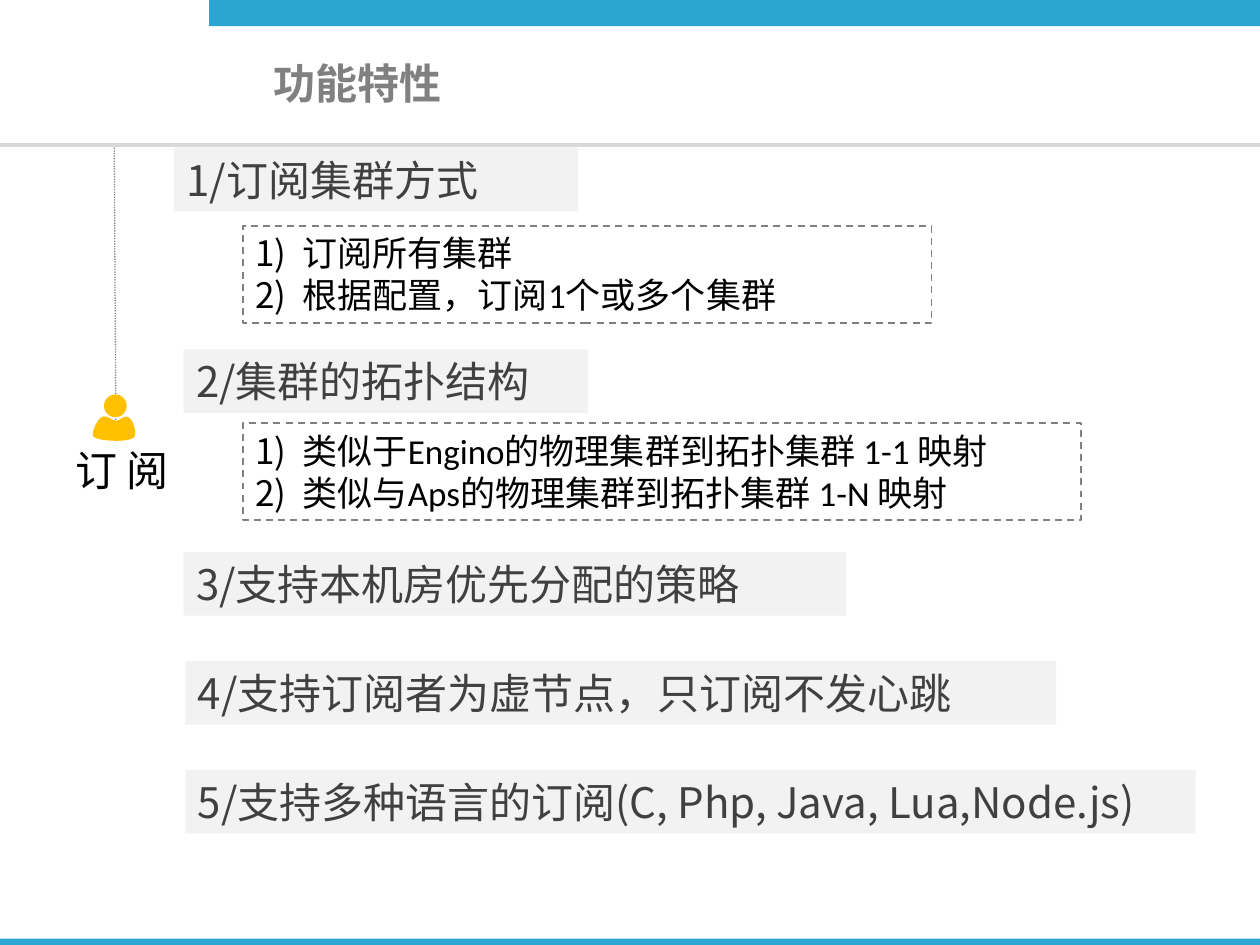
from dataclasses import dataclass

import pptx
import pptx.dml.color
import pptx.enum.dml
import pptx.enum.shapes
import pptx.enum.text
import pptx.oxml
import pptx.oxml.ns
import pptx.util

Pt = pptx.util.Pt
qn = pptx.oxml.ns.qn
Shape = pptx.enum.shapes.MSO_SHAPE
Dash = pptx.enum.dml.MSO_LINE
Anchor = pptx.enum.text.MSO_ANCHOR
Align = pptx.enum.text.PP_ALIGN

COLORS = {
    "accent": "2BA6D2",
    "rule": "D9D9D9",
    "gray": "808080",
    "band": "F2F2F2",
    "heading": "404040",
    "body": "000000",
    "person": "FFC000",
}
CJK_FONT = "Noto Sans CJK SC"
LATIN_FONT = "Calibri"
LIST_INDENT = 27


@dataclass
class Feature:
    text: str
    left: float
    top: float
    width: float


@dataclass
class Details:
    items: list[str]
    top: float
    width: float


FEATURES = [
    Feature("1/订阅集群方式", 99.4, 84.4, 231),
    Feature("2/集群的拓扑结构", 105, 199.6, 231),
    Feature("3/支持本机房优先分配的策略", 105, 315.5, 378.5),
    Feature("4/支持订阅者为虚节点，只订阅不发心跳", 106, 377.8, 497.5),
    Feature("5/支持多种语言的订阅(C, Php, Java, Lua,Node.js)", 106, 440, 577.3),
]
DETAILS = [
    Details(["订阅所有集群", "根据配置，订阅1个或多个集群"], 129, 393.5),
    Details(
        ["类似于Engino的物理集群到拓扑集群 1-1 映射",
         "类似与Aps的物理集群到拓扑集群 1-N 映射"],
        241.6, 478.8,
    ),
]

# Shoulders of the subscriber: a start point, then Bezier segments
SHOULDERS_START = (58.3, 238.3)
SHOULDERS = [
    ((56, 239), (52, 247), (53.3, 249.3)),
    ((54.6, 251.3), (62.5, 251.9), (66.7, 251.9)),
    ((70.9, 251.9), (76.2, 251.3), (77, 249.2)),
    ((77.9, 247), (76.2, 238.6), (72.3, 238.1)),
    ((70, 238.1), (68.6, 240.4), (66.2, 240.4)),
    ((64, 240.4), (61, 237), SHOULDERS_START),
]


def rgb(name: str) -> pptx.dml.color.RGBColor:
    return pptx.dml.color.RGBColor.from_string(COLORS[name])


def paint(shape, fill: str | None = None) -> None:
    """Give the shape a flat fill or none, with no outline or shadow."""
    shape.shadow.inherit = False
    shape.line.fill.background()
    if fill:
        shape.fill.solid()
        shape.fill.fore_color.rgb = rgb(fill)
    else:
        shape.fill.background()


def add_block(slide, kind, left: float, top: float, width: float, height: float,
              fill: str | None = None):
    block = slide.shapes.add_shape(kind, Pt(left), Pt(top), Pt(width), Pt(height))
    paint(block, fill)
    return block


def add_line(slide, start: tuple, end: tuple, color: str, width: float, dash=None) -> None:
    line = slide.shapes.add_connector(
        pptx.enum.shapes.MSO_CONNECTOR.STRAIGHT, *map(Pt, start + end))
    line.line.color.rgb = rgb(color)
    line.line.width = Pt(width)
    if dash:
        line.line.dash_style = dash
    properties = line._element.spPr
    properties.append(properties.makeelement(qn("a:effectLst"), {}))


def number_paragraph(paragraph) -> None:
    """Number the paragraph as 1), 2) with a hanging indent."""
    properties = paragraph._p.get_or_add_pPr()
    properties.set("marL", str(Pt(LIST_INDENT)))
    properties.set("indent", str(-Pt(LIST_INDENT)))
    for tag, attributes in (("a:buFont", {"typeface": "+mj-lt"}),
                            ("a:buAutoNum", {"type": "arabicParenR"})):
        properties.append(properties.makeelement(qn(tag), attributes))


def write(shape, lines: list[str], *, size: float = 24, color: str = "body",
          font: str = CJK_FONT, bold: bool = False, align=Align.LEFT,
          anchor=Anchor.TOP, numbered: bool = False) -> None:
    frame = shape.text_frame
    frame.word_wrap = True
    frame.vertical_anchor = anchor
    for index, line in enumerate(lines):
        paragraph = frame.add_paragraph() if index else frame.paragraphs[0]
        paragraph.alignment = align
        if numbered:
            number_paragraph(paragraph)
        run = paragraph.add_run()
        run.text = line
        run.font.size = Pt(size)
        run.font.bold = bold
        run.font.name = font
        run.font.color.rgb = rgb(color)
        properties = run._r.get_or_add_rPr()
        properties.append(properties.makeelement(qn("a:ea"), {"typeface": CJK_FONT}))


def add_feature(slide, feature: Feature) -> None:
    band = add_block(slide, Shape.RECTANGLE, feature.left, feature.top,
                     feature.width, 36.3, "band")
    write(band, [feature.text], color="heading", anchor=Anchor.MIDDLE)


def add_details(slide, details: Details) -> None:
    box = add_block(slide, Shape.RECTANGLE, 138.8, details.top, details.width, 55.7)
    box.line.color.rgb = rgb("gray")
    box.line.width = Pt(1)
    box.line.dash_style = Dash.DASH
    write(box, details.items, size=20, font=LATIN_FONT, numbered=True)


def curve_points(start: tuple, segments: list, steps: int = 10) -> list[tuple]:
    """Sample a chain of cubic Bezier segments."""
    points = []
    for first, second, end in segments:
        for step in range(1, steps + 1):
            t = step / steps
            weights = ((1 - t) ** 3, 3 * t * (1 - t) ** 2, 3 * t * t * (1 - t), t ** 3)
            corners = (start, first, second, end)
            points.append(tuple(
                Pt(sum(w * corner[axis] for w, corner in zip(weights, corners)))
                for axis in (0, 1)))
        start = end
    return points


def add_subscriber(slide) -> None:
    add_block(slide, Shape.OVAL, 59.4, 225.4, 13, 13, "person")
    outline = slide.shapes.build_freeform(*map(Pt, SHOULDERS_START))
    outline.add_line_segments(curve_points(SHOULDERS_START, SHOULDERS), close=True)
    paint(outline.convert_to_shape(), "person")


def add_label(slide, text: str, left: float, top: float, width: float, height: float,
              **text_format) -> None:
    label = slide.shapes.add_textbox(Pt(left), Pt(top), Pt(width), Pt(height))
    write(label, [text], **text_format)


def main() -> None:
    deck = pptx.Presentation()
    deck.slide_width, deck.slide_height = Pt(720), Pt(540)
    slide = deck.slides.add_slide(deck.slide_layouts[6])

    add_block(slide, Shape.RECTANGLE, 119.5, 0, 600.5, 15, "accent")
    add_line(slide, (0, 82.8), (720, 82.8), "rule", 2.25)
    add_block(slide, Shape.RECTANGLE, 0, 536.4, 720, 3.6, "accent")
    add_label(slide, "功能特性", 66.2, 2.2, 276.5, 90, color="gray", font=LATIN_FONT,
              bold=True, align=Align.CENTER, anchor=Anchor.MIDDLE)

    add_line(slide, (65.3, 84.4), (66.2, 240.4), "gray", 0.75, Dash.ROUND_DOT)
    add_label(slide, "订 阅", 36, 250.6, 74.2, 36.3)
    for feature in FEATURES:
        add_feature(slide, feature)
    for details in DETAILS:
        add_details(slide, details)
    add_subscriber(slide)
    deck.save("out.pptx")


if __name__ == "__main__":
    main()
